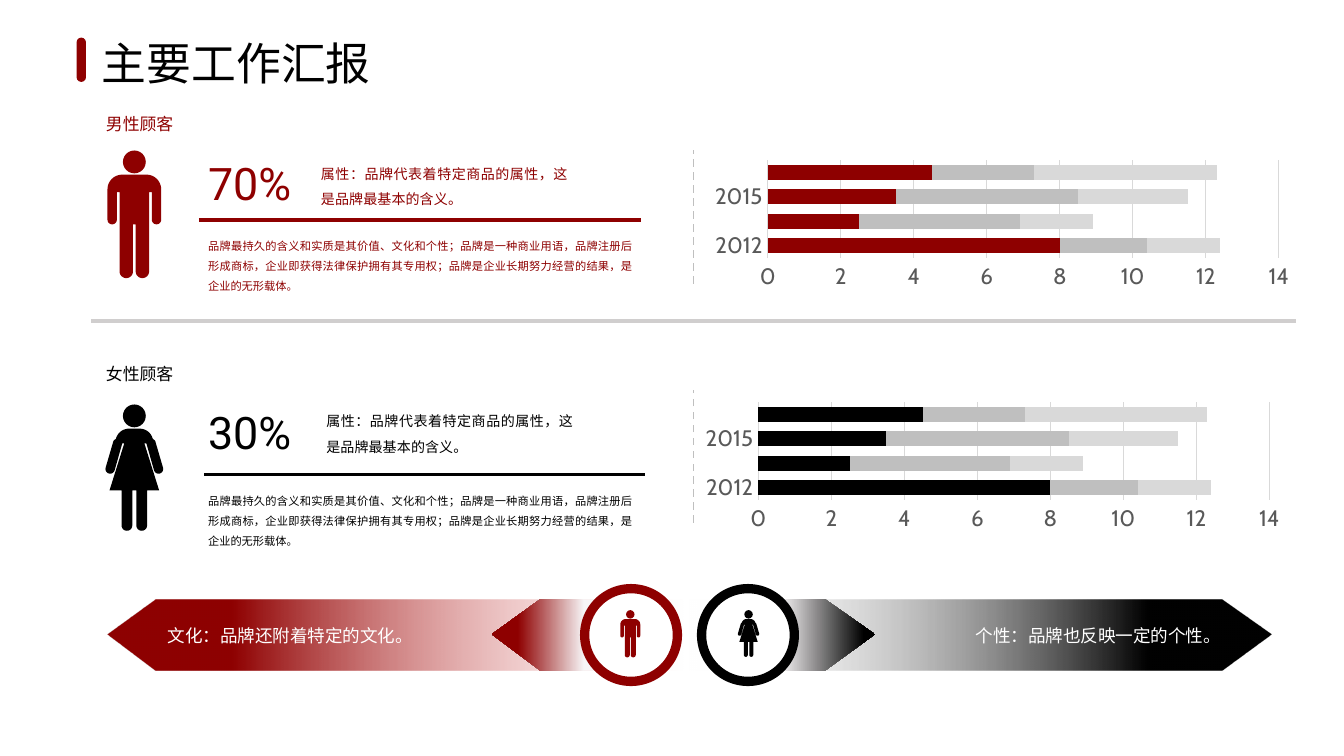
"""Build the customer report slide with two customer panels and a comparison band."""
import math
from dataclasses import dataclass

from lxml import etree
from pptx import Presentation
from pptx.chart.data import CategoryChartData
from pptx.dml.color import RGBColor
from pptx.enum.chart import XL_CHART_TYPE, XL_TICK_MARK
from pptx.enum.dml import MSO_LINE
from pptx.enum.shapes import MSO_CONNECTOR, MSO_SHAPE
from pptx.enum.text import MSO_AUTO_SIZE, PP_ALIGN
from pptx.oxml import parse_xml
from pptx.oxml.ns import nsdecls, qn
from pptx.util import Inches, Pt

STACKED = XL_CHART_TYPE.BAR_STACKED
NO_TICK = XL_TICK_MARK.NONE
DASH = MSO_LINE.DASH
STRAIGHT = MSO_CONNECTOR.STRAIGHT
OVAL, ROUNDED = MSO_SHAPE.OVAL, MSO_SHAPE.ROUNDED_RECTANGLE
FIT_TEXT = MSO_AUTO_SIZE.SHAPE_TO_FIT_TEXT
LEFT, RIGHT, JUSTIFY = PP_ALIGN.LEFT, PP_ALIGN.RIGHT, PP_ALIGN.JUSTIFY

RED, BLACK, WHITE = "8E0000", "000000", "FFFFFF"
MID_GREY, LIGHT_GREY = "BFBFBF", "D9D9D9"
ATTRIBUTE = "属性：品牌代表着特定商品的属性，这是品牌最基本的含义。"
DETAIL = (
    "品牌最持久的含义和实质是其价值、文化和个性；品牌是一种商业用语，品牌注册后形成商标，"
    "企业即获得法律保护拥有其专用权；品牌是企业长期努力经营的结果，是企业的无形载体。"
)
CATEGORIES = ("2012", "2014", "2015", "2016")
SERIES = ((8, 2.5, 3.5, 4.5), (2.4, 4.4, 5, 2.8), (2, 2, 3, 5))
PLOT_LAYOUT = {"x": 0.084, "y": 0.083, "w": 0.887, "h": 0.649}
BAND_TOP, BAND_MIDDLE, BAND_BOTTOM = 4.46, 4.72, 4.99
ICON_SCALE = 0.37

Points = list[tuple[float, float]]


def arc(x: float, y: float, radius: float, start: int, end: int) -> Points:
    """Return points along a circular arc, with angles in degrees."""
    angles = [math.radians(start + (end - start) * step / 12) for step in range(13)]
    return [(x + radius * math.cos(a), y + radius * math.sin(a)) for a in angles]


MAN = [
    *arc(0.09, 0.29, 0.11, -90, 0), *arc(0.165, 0.515, 0.035, 0, 180),
    (0.13, 0.31), (0.11, 0.31), *arc(0.06, 0.9, 0.05, 0, 180), (0.01, 0.55),
]
WOMAN = [
    *arc(0.04, 0.28, 0.1, -90, -15), (0.155, 0.27), *arc(0.18, 0.48, 0.035, -15, 165),
    (0.09, 0.29), (0.075, 0.29), (0.185, 0.64), (0.095, 0.64),
    *arc(0.055, 0.9, 0.04, 0, 180), (0.015, 0.64),
]


@dataclass
class Panel:
    """One customer group with its figure, texts, rule and chart."""
    color: str
    title: str
    share: str
    outline: Points
    figure: tuple[float, float]
    title_top: float
    share_top: float
    attribute: tuple[float, float]
    rule: tuple[float, float, float]
    detail_top: float
    divider_top: float
    chart: tuple[float, float]


@dataclass
class Banner:
    """One half of the comparison band: base, shoulder and tip of each arrow."""
    color: str
    pale: str
    band: tuple[float, float, float]
    band_stops: tuple[float, float]
    point: tuple[float, float, float]
    point_stops: tuple[float, float]
    angle: int
    text: str
    text_left: float
    align: PP_ALIGN
    ring_left: float
    icon_x: float
    outline: Points


PANELS = (
    Panel(RED, "男性顾客", "70%", MAN, (1, 1.12), 0.8, 1.11, (2.29, 1.12),
          (1.48, 4.77, 1.64), 1.68, 1.12, (5.32, 1.1)),
    Panel(BLACK, "女性顾客", "30%", WOMAN, (1, 3.01), 2.66, 2.96, (2.33, 2.96),
          (1.52, 4.8, 3.53), 3.58, 2.9, (5.25, 2.9)),
)
BANNERS = (
    Banner(BLACK, "F2F2F2", (5.12, 9.09, 9.46), (0, 0.79), (5.71, 6.14, 6.51),
           (0.12, 0.9), 0, "个性：品牌也反映一定的个性。", 6.7, RIGHT, 5.22, 5.57, WOMAN),
    Banner(RED, "FFB5B5", (5.13, 1.16, 0.8), (0.01, 0.79), (4.46, 4.02, 3.66),
           (0.14, 0.76), 180, "文化：品牌还附着特定的文化。", 1.23, LEFT, 4.35, 4.69, MAN),
)


def rgb(value: str) -> RGBColor:
    """Turn a hex string into a colour."""
    return RGBColor.from_string(value)


def add_text(slide, text, left, top, width, height, *, size, color=BLACK, font="Roboto",
             align=LEFT, spacing=None, wrap=True, inset=None):
    """Add a one-paragraph text box."""
    frame = slide.shapes.add_textbox(*map(Inches, (left, top, width, height))).text_frame
    frame.word_wrap = wrap
    frame.auto_size = FIT_TEXT
    if inset is not None:
        frame.margin_left = frame.margin_right = Inches(inset)
        frame.margin_top = frame.margin_bottom = Inches(inset)
    paragraph = frame.paragraphs[0]
    paragraph.alignment = align
    paragraph.line_spacing = spacing
    run = paragraph.add_run()
    run.text = text
    run.font.size, run.font.name = Pt(size), font
    run.font.color.rgb = rgb(color)


def add_line(slide, start, end, color: str, width: float, dash=None) -> None:
    """Add a straight line without a shadow."""
    line = slide.shapes.add_connector(STRAIGHT, *map(Inches, (*start, *end)))
    line.line.color.rgb, line.line.width = rgb(color), Pt(width)
    if dash:
        line.line.dash_style = dash
    etree.SubElement(line._element.spPr, qn("a:effectLst"))


def add_preset(slide, kind, left, top, width, height, color, border=None):
    """Add a filled preset shape, optionally with a thick border."""
    shape = slide.shapes.add_shape(kind, *map(Inches, (left, top, width, height)))
    shape.shadow.inherit = False
    shape.fill.solid()
    shape.fill.fore_color.rgb = rgb(color)
    if border:
        shape.line.color.rgb, shape.line.width = rgb(border), Pt(5)
    else:
        shape.line.fill.background()
    return shape


def add_outline(slide, points: Points):
    """Add a closed freeform without line or shadow."""
    corners = [(Inches(x), Inches(y)) for x, y in points]
    builder = slide.shapes.build_freeform(*corners[0])
    builder.add_line_segments(corners[1:], close=True)
    shape = builder.convert_to_shape()
    shape.shadow.inherit = False
    shape.line.fill.background()
    return shape


def add_figure(slide, half: Points, x: float, top: float, color: str, scale: float = 1) -> None:
    """Add a person symbol by mirroring half of the body outline."""
    head = 0.17 * scale
    add_preset(slide, OVAL, x - head / 2, top, head, head, color)
    body = half + [(-dx, dy) for dx, dy in reversed(half)]
    shape = add_outline(slide, [(x + dx * scale, top + dy * scale) for dx, dy in body])
    shape.fill.solid()
    shape.fill.fore_color.rgb = rgb(color)


def add_arrow(slide, span, colors, stops, angle: int, fade: bool = False) -> None:
    """Add a pointed band with a gradient whose first colour may fade out."""
    base, shoulder, tip = span
    shape = add_outline(slide, [(base, BAND_TOP), (shoulder, BAND_TOP), (tip, BAND_MIDDLE),
                                (shoulder, BAND_BOTTOM), (base, BAND_BOTTOM)])
    shape.fill.gradient()
    shape.fill.gradient_angle = angle
    for stop, color, position in zip(shape.fill.gradient_stops, colors, stops):
        stop.color.rgb, stop.position = rgb(color), position
    if fade:
        first_color = next(shape._element.spPr.iter(qn("a:srgbClr")))
        etree.SubElement(first_color, qn("a:alpha"), val="0")


def add_bar_chart(slide, left: float, top: float, color: str) -> None:
    """Add a stacked bar chart whose first series has the panel colour."""
    data = CategoryChartData()
    data.categories = CATEGORIES
    for number, values in enumerate(SERIES, 1):
        data.add_series(f"Series {number}", values)
    chart = slide.shapes.add_chart(STACKED, *map(Inches, (left, top, 4.32, 1.12)), data).chart
    chart.has_title = chart.has_legend = False
    chart.font.size, chart.font.name = Pt(10), "Cabin"
    chart.font.color.rgb = rgb(BLACK)
    plot = chart.plots[0]
    plot.gap_width, plot.overlap, plot.vary_by_categories = 63, 100, False
    for series, fill in zip(plot.series, (color, MID_GREY, LIGHT_GREY)):
        series.format.fill.solid()
        series.format.fill.fore_color.rgb = rgb(fill)
    categories, values = chart.category_axis, chart.value_axis
    for axis in (categories, values):
        axis.major_tick_mark = axis.minor_tick_mark = NO_TICK
        axis.tick_labels.font.size, axis.tick_labels.font.name = Pt(12), "Cabin"
        axis.tick_labels.font.color.rgb = rgb("595959")
    values.format.line.fill.background()
    values.has_major_gridlines = True
    for line in (categories.format.line, values.major_gridlines.format.line):
        line.color.rgb, line.width = rgb(LIGHT_GREY), Pt(0.75)
    area = plot._element.getparent()
    for layout in area.findall(qn("c:layout")):
        area.remove(layout)
    modes = '<c:layoutTarget val="inner"/><c:xMode val="edge"/><c:yMode val="edge"/>'
    sizes = "".join(f'<c:{key} val="{value}"/>' for key, value in PLOT_LAYOUT.items())
    area.insert(0, parse_xml(f'<c:layout {nsdecls("c")}><c:manualLayout>{modes}{sizes}'
                             "</c:manualLayout></c:layout>"))


def add_panel(slide, panel: Panel) -> None:
    """Add all parts of one customer group."""
    color = panel.color
    add_text(slide, panel.title, 0.69, panel.title_top, 0.71, 0.25, size=9, color=color, wrap=False)
    add_text(slide, panel.share, 1.45, panel.share_top, 0.9, 0.5, size=24, color=color, wrap=False)
    add_text(slide, ATTRIBUTE, *panel.attribute, 2.03, 0.46, size=7.5, color=color,
             align=JUSTIFY, spacing=1.5)
    add_text(slide, DETAIL, 1.45, panel.detail_top, 3.35, 0.54, size=6, color=color,
             align=JUSTIFY, spacing=1.5)
    add_figure(slide, panel.outline, *panel.figure, color)
    start, end, y = panel.rule
    add_line(slide, (start, y), (end, y), color, 2)
    add_line(slide, (5.16, panel.divider_top + 0.99), (5.16, panel.divider_top), MID_GREY, 1, DASH)
    add_bar_chart(slide, *panel.chart, color)


def add_banner(slide, banner: Banner) -> None:
    """Add one half of the comparison band with its ring and icon."""
    color = banner.color
    add_arrow(slide, banner.band, (banner.pale, color), banner.band_stops, banner.angle, fade=True)
    add_arrow(slide, banner.point, ("F7F5F6", color), banner.point_stops, banner.angle)
    add_text(slide, banner.text, banner.text_left, 4.63, 2.4, 0.2, size=9.4, color=WHITE,
             align=banner.align, inset=0.02)
    add_preset(slide, OVAL, banner.ring_left, 4.38, 0.69, 0.69, WHITE, color)
    add_figure(slide, banner.outline, banner.icon_x, 4.54, color, ICON_SCALE)


def main() -> None:
    """Build and save the presentation."""
    presentation = Presentation()
    presentation.slide_width, presentation.slide_height = Inches(10), Inches(10 * 9 / 16)
    slide = presentation.slides.add_slide(presentation.slide_layouts[6])
    add_text(slide, "主要工作汇报", 0.66, 0.22, 2.22, 0.5, size=24, font="Cabin", wrap=False)
    add_preset(slide, ROUNDED, 0.57, 0.28, 0.07, 0.33, RED).adjustments[0] = 0.5
    add_line(slide, (9.64, 2.39), (0.68, 2.39), "D0CECE", 2)
    for panel in PANELS:
        add_panel(slide, panel)
    for banner in BANNERS:
        add_banner(slide, banner)
    presentation.save("out.pptx")


if __name__ == "__main__":
    main()
